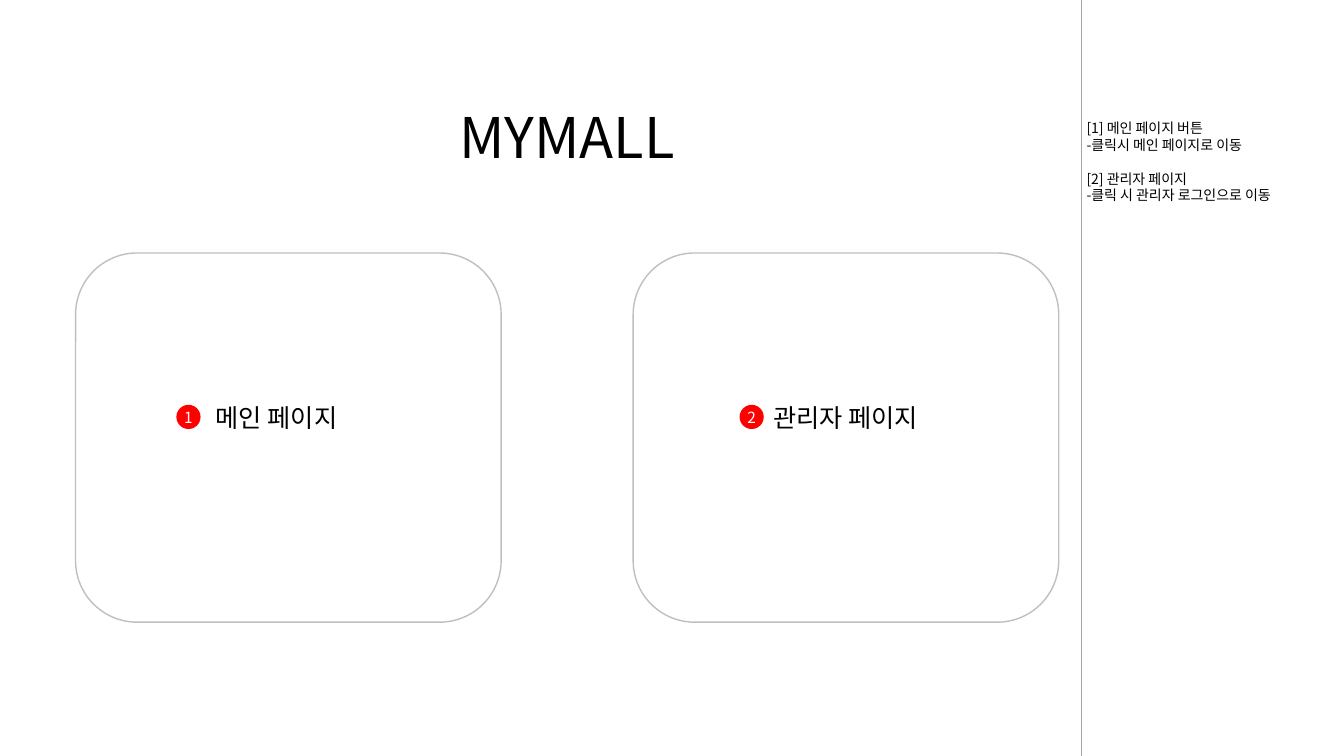
from pptx import Presentation
from pptx.dml.color import RGBColor
from pptx.enum.shapes import MSO_CONNECTOR, MSO_SHAPE
from pptx.enum.text import MSO_ANCHOR, PP_ALIGN
from pptx.oxml.ns import qn
from pptx.util import Pt
from lxml.etree import SubElement

FONT = "Noto Sans CJK KR"
BLACK = RGBColor(0x00, 0x00, 0x00)
WHITE = RGBColor(0xFF, 0xFF, 0xFF)
RED = RGBColor(0xFF, 0x00, 0x00)
CARD_GRAY = RGBColor(0xBF, 0xBF, 0xBF)
DIVIDER_GRAY = RGBColor(0xA5, 0xA5, 0xA5)
LINE_HEIGHT = 1.2
PAGE_WIDTH, PAGE_HEIGHT = 960, 540


def add_span(para, words, size, color):
    para.line_spacing = Pt(size * LINE_HEIGHT)
    span = para.add_run()
    span.text = words
    span.font.size = Pt(size)
    span.font.name = FONT
    span.font.color.rgb = color
    SubElement(span.font._element, qn("a:ea")).set("typeface", FONT)


def add_text(page, box, lines, size):
    left, top, width, height = box
    frame = page.shapes.add_textbox(Pt(left), Pt(top), Pt(width), Pt(height)).text_frame
    frame.word_wrap = True
    for index, words in enumerate(lines):
        para = frame.paragraphs[0] if index == 0 else frame.add_paragraph()
        add_span(para, words, size, BLACK)
    return frame


def add_plain_shape(page, kind, box):
    left, top, width, height = box
    shape = page.shapes.add_shape(kind, Pt(left), Pt(top), Pt(width), Pt(height))
    shape.shadow.inherit = False
    return shape


def add_badge(page, box, number):
    badge = add_plain_shape(page, MSO_SHAPE.OVAL, box)
    badge.fill.solid()
    badge.fill.fore_color.rgb = RED
    badge.line.fill.background()
    frame = badge.text_frame
    frame.margin_left = frame.margin_top = frame.margin_right = frame.margin_bottom = 0
    frame.word_wrap = False
    frame.vertical_anchor = MSO_ANCHOR.MIDDLE
    para = frame.paragraphs[0]
    para.alignment = PP_ALIGN.CENTER
    add_span(para, number, 11, WHITE)


def add_card(page, box, number, label, badge_offset):
    left, top, width, height = box
    card = add_plain_shape(page, MSO_SHAPE.ROUNDED_RECTANGLE, box)
    card.fill.background()
    card.line.color.rgb = CARD_GRAY
    card.line.width = Pt(1)
    add_text(page, (left + 93, top + 103, 155, 29), [label], 18)
    add_badge(page, (left + badge_offset, top + 108.5, 17.3, 17.3), number)


def add_notes_panel(page, box):
    left, top, width, height = box
    divider = page.shapes.add_connector(
        MSO_CONNECTOR.STRAIGHT, Pt(left), Pt(top), Pt(left), Pt(top + height))
    divider.line.color.rgb = DIVIDER_GRAY
    divider.line.width = Pt(0.5)
    SubElement(divider._element.spPr, qn("a:effectLst"))
    lines = [
        "[1] 메인 페이지 버튼",
        "-클릭시 메인 페이지로 이동",
        "[2] 관리자 페이지",
        "-클릭 시 관리자 로그인으로 이동",
    ]
    frame = add_text(page, (left - 3.5, top + 82, width - 3, 68), lines, 10)
    frame.paragraphs[2].space_before = Pt(10 * LINE_HEIGHT)


def build_start_page(page, box):
    left, top, width, height = box
    add_notes_panel(page, (left + 772.5, top, width - 772.5, height))
    add_text(page, (left + 321, top + 70, 264, 55), ["MYMALL"], 40)
    cards = [("1", "메인 페이지", 72), ("2", "관리자 페이지", 76)]
    for index, (number, label, badge_offset) in enumerate(cards):
        card_box = (left + 54 + 398.3 * index, top + 180.7, 304, 263.7)
        add_card(page, card_box, number, label, badge_offset)


deck = Presentation()
deck.slide_width = Pt(PAGE_WIDTH)
deck.slide_height = Pt(PAGE_HEIGHT)
start_page = deck.slides.add_slide(deck.slide_layouts[6])
build_start_page(start_page, (0, 0, PAGE_WIDTH, PAGE_HEIGHT))
deck.save("out.pptx")
